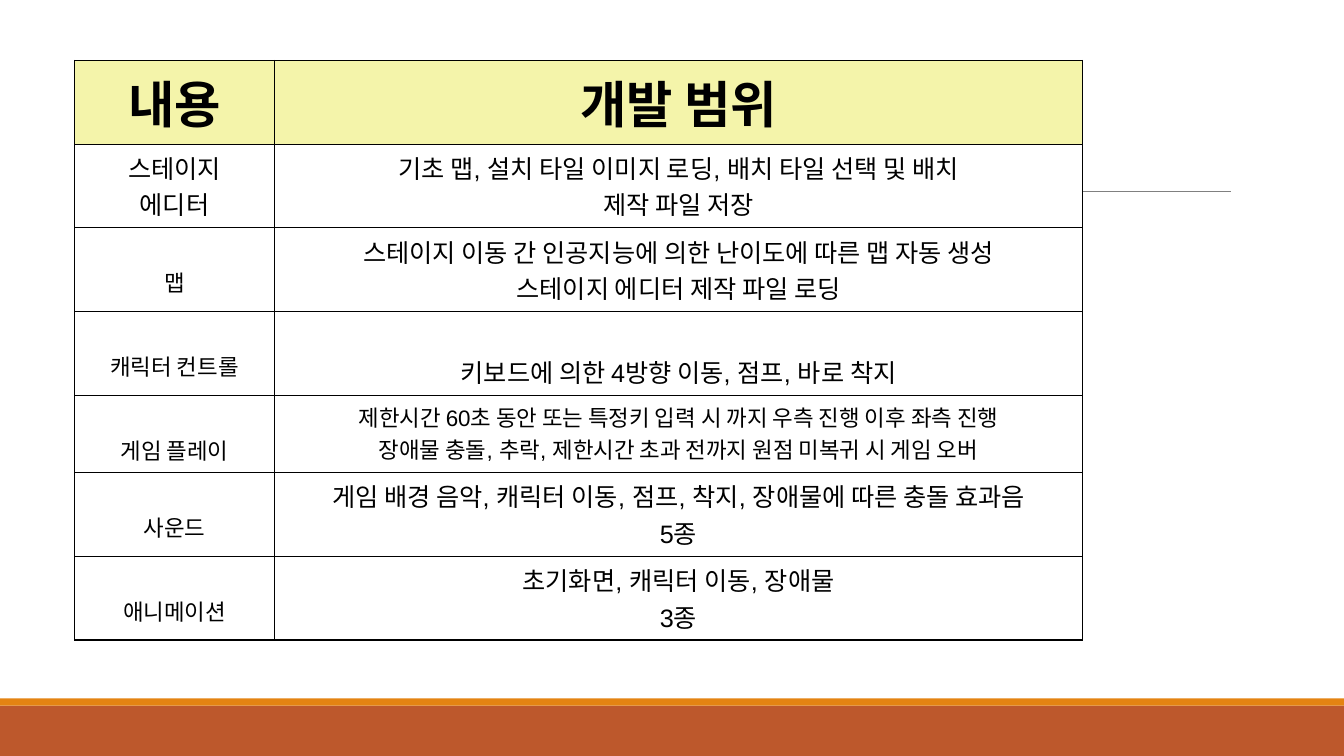
from dataclasses import dataclass

from lxml.etree import SubElement
from pptx import Presentation
from pptx.dml.color import RGBColor
from pptx.enum.shapes import MSO_CONNECTOR, MSO_SHAPE
from pptx.enum.text import MSO_ANCHOR, PP_ALIGN
from pptx.oxml.ns import qn
from pptx.slide import Slide
from pptx.table import _Cell
from pptx.util import Inches, Pt


@dataclass
class Band:
    top: float
    height: float
    fill: str


@dataclass
class Entry:
    lines: list[str]
    size: int = 18
    top_margin: float = 0.05


@dataclass
class Row:
    topic: Entry
    scope: Entry
    height: float = 0.83
    fill: str = "FFFFFF"
    bold: bool = False


def lowered_topic(text: str) -> Entry:
    return Entry([text], 16, 0.38)


SLIDE_WIDTH = 13.33
BANDS = [Band(7, 0.5, "BD582C"), Band(6.93, 0.07, "E48312")]
COLUMN_WIDTHS = [1.98, 8.02]
ROWS = [
    Row(Entry(["내용"], 36), Entry(["개발 범위"], 36), fill="F4F4AA", bold=True),
    Row(
        Entry(["스테이지", "에디터"]),
        Entry(["기초 맵, 설치 타일 이미지 로딩, 배치 타일 선택 및 배치", "제작 파일 저장"]),
    ),
    Row(
        lowered_topic("맵"),
        Entry(["스테이지 이동 간 인공지능에 의한 난이도에 따른 맵 자동 생성", "스테이지 에디터 제작 파일 로딩"]),
    ),
    Row(
        lowered_topic("캐릭터 컨트롤"),
        Entry(["키보드에 의한 4방향 이동, 점프, 바로 착지"], top_margin=0.41),
    ),
    Row(
        lowered_topic("게임 플레이"),
        Entry(
            [
                "제한시간 60초 동안 또는 특정키 입력 시 까지 우측 진행 이후 좌측 진행",
                "장애물 충돌, 추락, 제한시간 초과 전까지 원점 미복귀 시 게임 오버",
            ],
            16,
        ),
        height=0.77,
    ),
    Row(
        lowered_topic("사운드"),
        Entry(["게임 배경 음악, 캐릭터 이동, 점프, 착지, 장애물에 따른 충돌 효과음", "5종"]),
    ),
    Row(
        lowered_topic("애니메이션"),
        Entry(["초기화면, 캐릭터 이동, 장애물", "3종"]),
    ),
]


def color(value: str) -> RGBColor:
    return RGBColor.from_string(value)


def add_band(slide: Slide, band: Band) -> None:
    shape = slide.shapes.add_shape(
        MSO_SHAPE.RECTANGLE, 0, Inches(band.top), Inches(SLIDE_WIDTH), Inches(band.height)
    )
    shape.shadow.inherit = False
    shape.fill.solid()
    shape.fill.fore_color.rgb = color(band.fill)
    shape.line.fill.background()


def add_title_rule(slide: Slide) -> None:
    rule = slide.shapes.add_connector(
        MSO_CONNECTOR.STRAIGHT, Inches(1.31), Inches(1.9), Inches(12.21), Inches(1.9)
    )
    rule.line.color.rgb = color("808080")
    rule.line.width = Pt(0.5)
    SubElement(rule._element.spPr, qn("a:effectLst"))


def add_borders(cell: _Cell) -> None:
    properties = cell._tc.get_or_add_tcPr()
    for position, side in enumerate(("lnL", "lnR", "lnT", "lnB")):
        border = SubElement(properties, qn(f"a:{side}"), w=str(Pt(1)))
        fill = SubElement(border, qn("a:solidFill"))
        SubElement(fill, qn("a:srgbClr"), val="000000")
        properties.insert(position, border)


def fill_cell(cell: _Cell, entry: Entry, row: Row) -> None:
    cell.fill.solid()
    cell.fill.fore_color.rgb = color(row.fill)
    cell.vertical_anchor = MSO_ANCHOR.TOP
    cell.margin_top = Inches(entry.top_margin)
    add_borders(cell)
    font_format = {"name": "Arial", "size": Pt(entry.size), "bold": row.bold}
    cell.text_frame.text = "\n".join(entry.lines)
    for paragraph in cell.text_frame.paragraphs:
        paragraph.alignment = PP_ALIGN.CENTER
        for run in paragraph.runs:
            run.font.color.rgb = color("000000")
            for name, value in font_format.items():
                setattr(run.font, name, value)


def add_scope_table(slide: Slide) -> None:
    table = slide.shapes.add_table(
        len(ROWS),
        len(COLUMN_WIDTHS),
        Inches(0.74),
        Inches(0.6),
        Inches(sum(COLUMN_WIDTHS)),
        Inches(sum(row.height for row in ROWS)),
    ).table
    table.first_row = False
    table.horz_banding = False
    for column, width in zip(table.columns, COLUMN_WIDTHS):
        column.width = Inches(width)
    for table_row, row in zip(table.rows, ROWS):
        table_row.height = Inches(row.height)
        for cell, entry in zip(table_row.cells, (row.topic, row.scope)):
            fill_cell(cell, entry, row)


def main() -> None:
    presentation = Presentation()
    presentation.slide_width = Inches(SLIDE_WIDTH)
    presentation.slide_height = Inches(7.5)
    slide = presentation.slides.add_slide(presentation.slide_layouts[6])
    for band in BANDS:
        add_band(slide, band)
    add_title_rule(slide)
    add_scope_table(slide)
    presentation.save("out.pptx")


if __name__ == "__main__":
    main()
